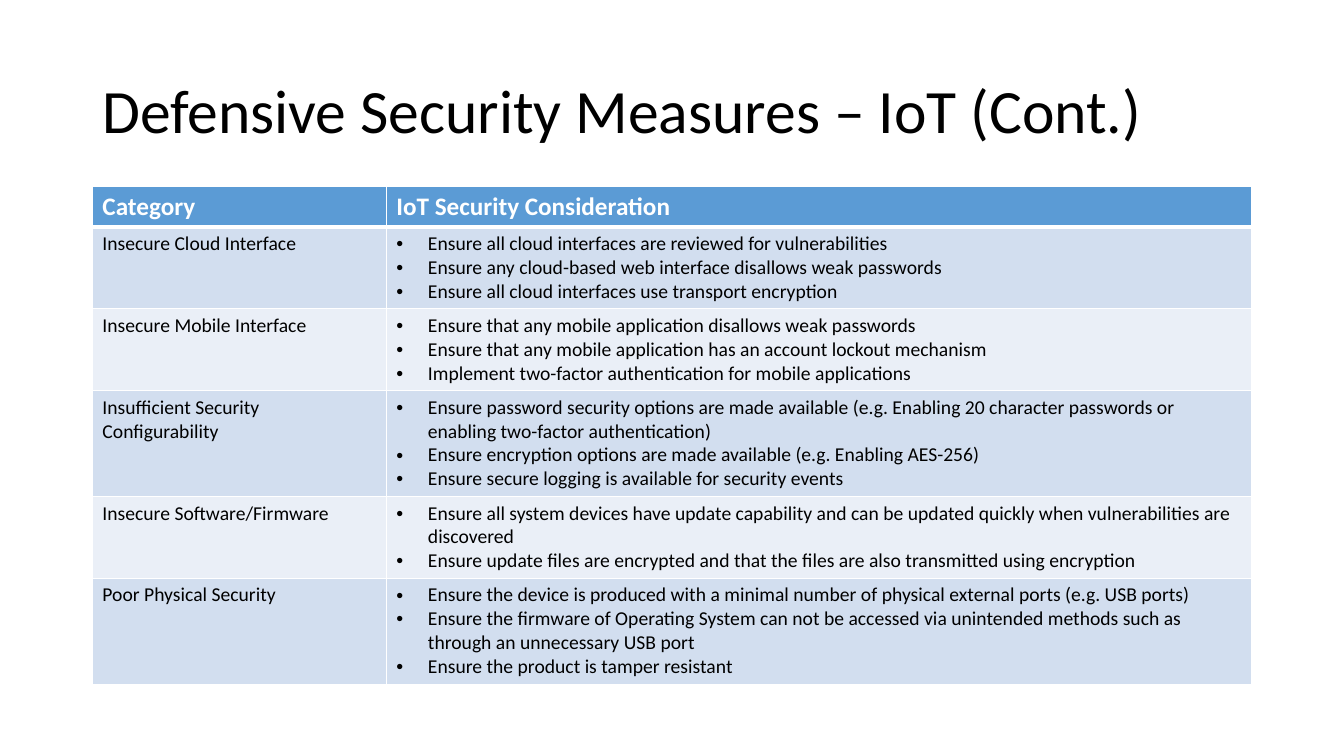
from lxml.etree import SubElement
from pptx import Presentation
from pptx.dml.color import RGBColor
from pptx.enum.text import MSO_ANCHOR
from pptx.oxml.ns import qn
from pptx.util import Pt

FONT = "Calibri"
COLORS = {
    "text": "000000",
    "line": "FFFFFF",
    "header": "5B9BD5",
    "header_text": "FFFFFF",
    "odd_row": "D2DEEF",
    "even_row": "EAEFF7",
}
TITLE = "Defensive Security Measures – IoT (Cont.)"
HEADINGS = ["Category", "IoT Security Consideration"]

# Category, number of lines its row holds, considerations
CATEGORIES = [
    ("Insecure Cloud Interface", 3, [
        "Ensure all cloud interfaces are reviewed for vulnerabilities",
        "Ensure any cloud-based web interface disallows weak passwords",
        "Ensure all cloud interfaces use transport encryption",
    ]),
    ("Insecure Mobile Interface", 3, [
        "Ensure that any mobile application disallows weak passwords",
        "Ensure that any mobile application has an account lockout mechanism",
        "Implement two-factor authentication for mobile applications",
    ]),
    ("Insufficient Security Configurability", 4, [
        "Ensure password security options are made available (e.g. Enabling 20 character "
        "passwords or enabling two-factor authentication)",
        "Ensure encryption options are made available (e.g. Enabling AES-256)",
        "Ensure secure logging is available for security events",
    ]),
    ("Insecure Software/Firmware", 3, [
        "Ensure all system devices have update capability and can be updated quickly "
        "when vulnerabilities are discovered",
        "Ensure update files are encrypted and that the files are also transmitted "
        "using encryption",
    ]),
    ("Poor Physical Security", 4, [
        "Ensure the device is produced with a minimal number of physical external "
        "ports (e.g. USB ports)",
        "Ensure the firmware of Operating System can not be accessed via unintended "
        "methods such as through an unnecessary USB port",
        "Ensure the product is tamper resistant",
    ]),
]
CATEGORY_WIDTH = 210
HEADER_HEIGHT = 28.5
LINE_HEIGHT = 17.1
CELL_PADDING = 7.2
BULLET_INDENT = 22.5


def color(name):
    return RGBColor.from_string(COLORS[name])


def style_font(para, size, color_name, bold=False):
    for span in para.runs:
        span.font.name = FONT
        span.font.size = Pt(size)
        span.font.bold = bold
        span.font.color.rgb = color(color_name)


def add_bullet(para):
    properties = para._p.get_or_add_pPr()
    properties.set("marL", str(Pt(BULLET_INDENT)))
    properties.set("indent", str(-Pt(BULLET_INDENT)))
    SubElement(properties, qn("a:buFont"), typeface="Arial")
    SubElement(properties, qn("a:buChar"), char="•")


def add_borders(cell, top, bottom):
    properties = cell._tc.get_or_add_tcPr()
    for side, width in (("L", 1), ("R", 1), ("T", top), ("B", bottom)):
        line = SubElement(properties, qn(f"a:ln{side}"), w=str(Pt(width)))
        fill = SubElement(line, qn("a:solidFill"))
        SubElement(fill, qn("a:srgbClr"), val=COLORS["line"])


def fill_cell(cell, lines, fill_name, size, color_name, bold=False, bullets=False,
              top=1, bottom=1):
    add_borders(cell, top, bottom)
    cell.fill.solid()
    cell.fill.fore_color.rgb = color(fill_name)
    cell.text_frame.text = "\n".join(lines)
    for para in cell.text_frame.paragraphs:
        if bullets:
            add_bullet(para)
        style_font(para, size, color_name, bold)


def add_title(page, left, top, width, height):
    box = page.shapes.add_textbox(Pt(left), Pt(top), Pt(width), Pt(height))
    frame = box.text_frame
    frame.word_wrap = True
    frame.vertical_anchor = MSO_ANCHOR.MIDDLE
    frame.text = TITLE
    para = frame.paragraphs[0]
    para.line_spacing = 0.9
    style_font(para, 44, "text")


def add_measures_table(page, left, top, width):
    heights = [HEADER_HEIGHT]
    heights += [count * LINE_HEIGHT + CELL_PADDING for _, count, _ in CATEGORIES]
    table = page.shapes.add_table(
        len(heights), len(HEADINGS), Pt(left), Pt(top), Pt(width), Pt(sum(heights))
    ).table
    table.columns[0].width = Pt(CATEGORY_WIDTH)
    table.columns[1].width = Pt(width - CATEGORY_WIDTH)
    for row, height in zip(table.rows, heights):
        row.height = Pt(height)

    # Header row, with a heavier line beneath
    for column, heading in enumerate(HEADINGS):
        fill_cell(table.cell(0, column), [heading], "header", 18, "header_text",
                  bold=True, bottom=3)

    # Banded category rows
    for row, (category, _, considerations) in enumerate(CATEGORIES, start=1):
        band = "odd_row" if row % 2 else "even_row"
        top_line = 3 if row == 1 else 1
        fill_cell(table.cell(row, 0), [category], band, 14, "text", top=top_line)
        fill_cell(table.cell(row, 1), considerations, band, 14, "text",
                  bullets=True, top=top_line)


def main():
    deck = Presentation()
    deck.slide_width, deck.slide_height = Pt(960), Pt(540)
    page = deck.slides.add_slide(deck.slide_layouts[6])
    add_title(page, 66, 28.75, 828, 104.4)
    add_measures_table(page, 66, 133.2, 828)
    deck.save("out.pptx")


if __name__ == "__main__":
    main()
